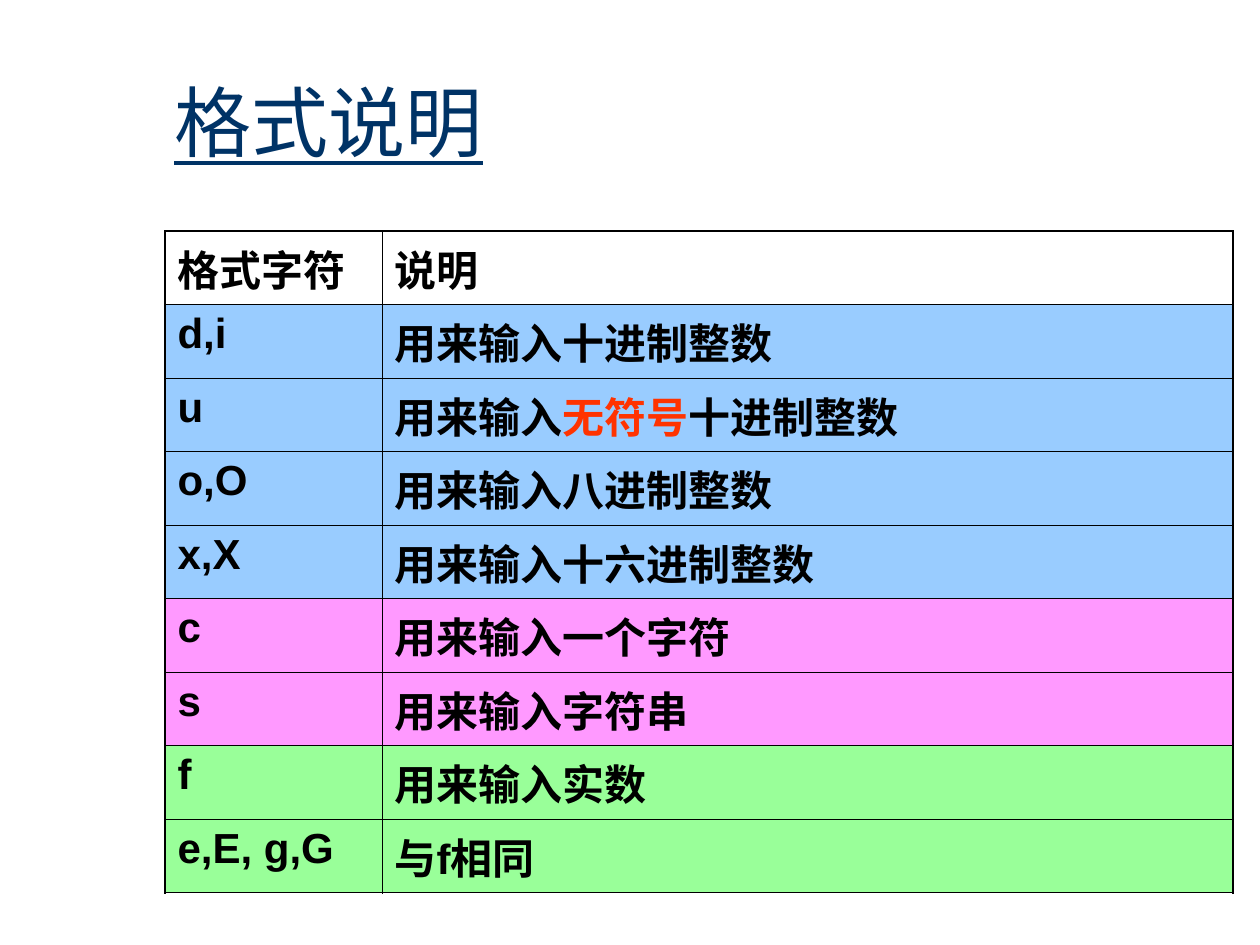
from lxml.etree import SubElement
from pptx import Presentation
from pptx.dml.color import RGBColor
from pptx.enum.text import MSO_ANCHOR, PP_ALIGN
from pptx.oxml.ns import qn
from pptx.util import Emu, Pt

PX_PER_INCH = 126
COLORS = {
    "title": "003366",
    "text": "000000",
    "accent": "FF3300",
    "border": "000000",
    "integer": "99CCFF",
    "character": "FF99FF",
    "real": "99FF99",
}
INNER_LINE, OUTER_LINE = Pt(0.45), Pt(1.08)

# Group, format characters, runs of the description as (text, colour)
FORMATS = [
    (None, "格式字符", [("说明", "text")]),
    ("integer", "d,i", [("用来输入十进制整数", "text")]),
    ("integer", "u", [("用来输入", "text"), ("无符号", "accent"), ("十进制整数", "text")]),
    ("integer", "o,O", [("用来输入八进制整数", "text")]),
    ("integer", "x,X", [("用来输入十六进制整数", "text")]),
    ("character", "c", [("用来输入一个字符", "text")]),
    ("character", "s", [("用来输入字符串", "text")]),
    ("real", "f", [("用来输入实数", "text")]),
    ("real", "e,E, g,G", [("与f相同", "text")]),
]


def px(length):
    return Emu(round(length * 914400 / PX_PER_INCH))


def rgb(name):
    return RGBColor.from_string(COLORS[name])


class SlideBuilder:
    title_font, title_size = "Comic Neue", Pt(44)
    body_font, body_size = "Arial", Pt(24)

    def __init__(self, slide):
        self.slide = slide

    def title(self, text, left, top, width, height):
        box = self.slide.shapes.add_textbox(px(left), px(top), px(width), px(height))
        frame = box.text_frame
        frame.word_wrap = True
        frame.vertical_anchor = MSO_ANCHOR.MIDDLE
        frame.text = text
        heading = frame.paragraphs[0]
        heading.alignment = PP_ALIGN.LEFT
        font = heading.runs[0].font
        font.name, font.size = self.title_font, self.title_size
        font.underline = True
        font.color.rgb = rgb("title")

    def format_table(self, formats, left, top, column_widths, height):
        """Place the formats in rows that share the height equally."""
        table = self.slide.shapes.add_table(
            len(formats), len(column_widths), px(left), px(top),
            px(sum(column_widths)), px(height)).table
        table.first_row = table.horz_banding = False
        for column, width in zip(table.columns, column_widths):
            column.width = px(width)
        last_row, last_column = len(formats) - 1, len(column_widths) - 1
        for row, (group, characters, description) in enumerate(formats):
            for column, runs in enumerate([[(characters, "text")], description]):
                cell = table.cell(row, column)
                self.borders(cell, {"lnL": column == 0, "lnR": column == last_column,
                                    "lnT": row == 0, "lnB": row == last_row})
                self.fill(cell, group)
                self.cell_text(cell, runs)

    def borders(self, cell, outer_sides):
        """Draw each side, heavier where it lies on the table's edge."""
        properties = cell._tc.get_or_add_tcPr()
        for side, is_outer in outer_sides.items():
            width = OUTER_LINE if is_outer else INNER_LINE
            line = SubElement(properties, qn(f"a:{side}"), w=str(int(width)))
            solid = SubElement(line, qn("a:solidFill"))
            SubElement(solid, qn("a:srgbClr"), val=COLORS["border"])

    def fill(self, cell, group):
        if group is None:
            cell.fill.background()
        else:
            cell.fill.solid()
            cell.fill.fore_color.rgb = rgb(group)

    def cell_text(self, cell, runs):
        paragraph = cell.text_frame.paragraphs[0]
        for text, color in runs:
            run = paragraph.add_run()
            run.text = text
            font = run.font
            font.name, font.size, font.bold = self.body_font, self.body_size, True
            font.color.rgb = rgb(color)


def main():
    deck = Presentation()
    deck.slide_width, deck.slide_height = px(1260), px(945)
    builder = SlideBuilder(deck.slides.add_slide(deck.slide_layouts[6]))
    builder.title("格式说明", 162, 42, 1071, 158)
    builder.format_table(FORMATS, 165, 231, column_widths=[217, 851], height=662)
    deck.save("out.pptx")


if __name__ == "__main__":
    main()
